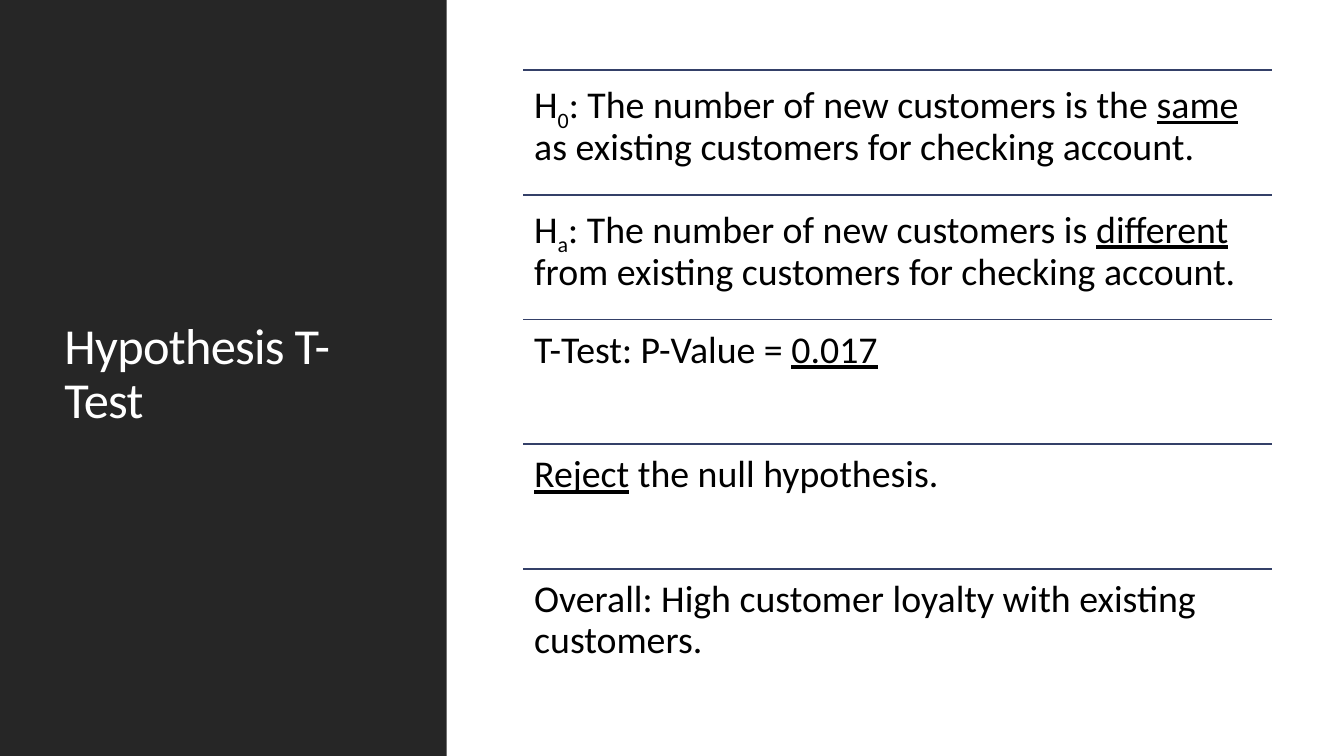
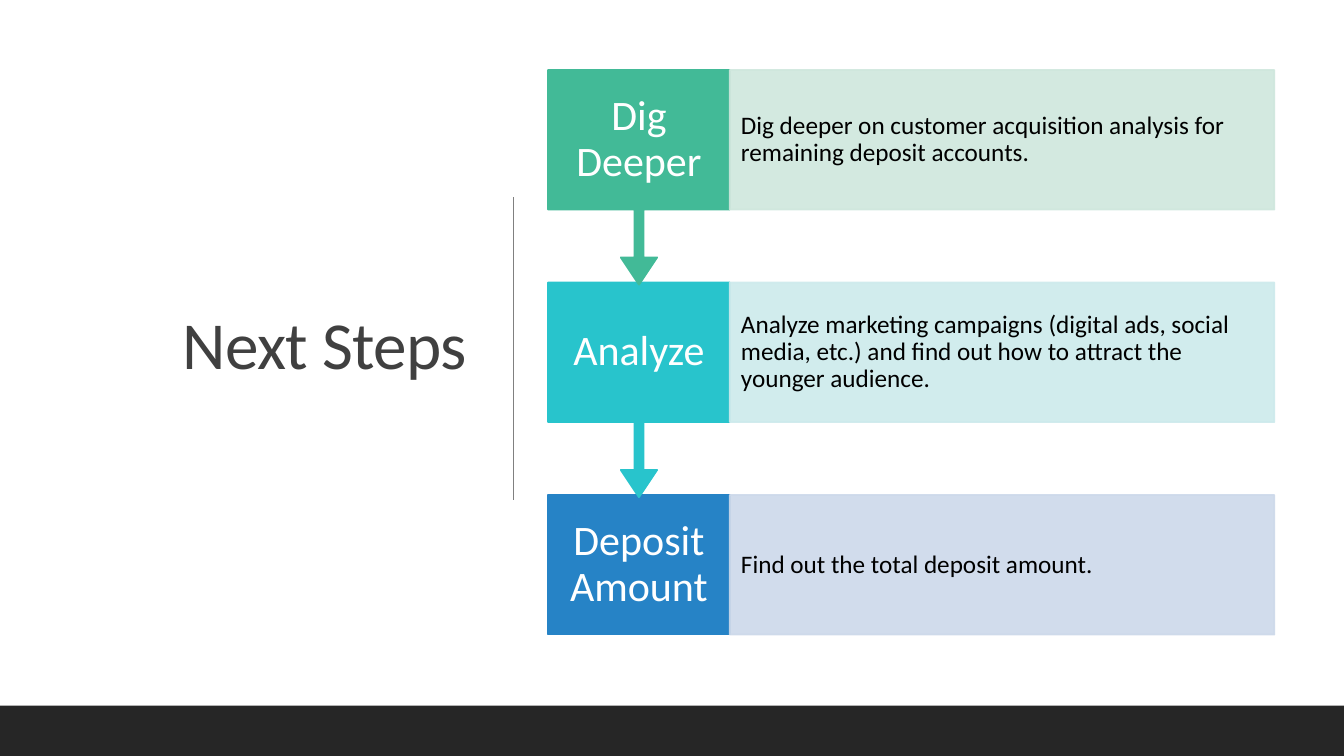
"""Build the hypothesis test and next steps slides."""

from dataclasses import dataclass

from pptx import Presentation
from pptx.dml.color import RGBColor
from pptx.enum.shapes import MSO_CONNECTOR, MSO_SHAPE
from pptx.enum.text import MSO_ANCHOR, PP_ALIGN
from pptx.oxml.ns import qn
from pptx.shapes.autoshape import Shape
from pptx.slide import Slide
from pptx.text.text import TextFrame
from pptx.util import Pt
from lxml import etree

RECTANGLE = MSO_SHAPE.RECTANGLE
ARROW_CALLOUT = MSO_SHAPE.UP_ARROW_CALLOUT
STRAIGHT = MSO_CONNECTOR.STRAIGHT
TOP, MIDDLE = MSO_ANCHOR.TOP, MSO_ANCHOR.MIDDLE
LEFT, CENTER, RIGHT = PP_ALIGN.LEFT, PP_ALIGN.CENTER, PP_ALIGN.RIGHT


@dataclass(frozen=True)
class Theme:
    font: str = "Calibri"
    dark: str = "262626"
    white: str = "FFFFFF"
    black: str = "000000"
    heading: str = "404040"
    rule: str = "344068"
    divider: str = "808080"
    side_title_size: float = 36
    title_size: float = 48
    statement_size: float = 27
    step_size: float = 30
    detail_size: float = 18
    outline: float = 1.25
    line_spacing: float = 0.9


@dataclass(frozen=True)
class Box:
    left: float
    top: float
    width: float
    height: float

    def lengths(self) -> tuple[Pt, Pt, Pt, Pt]:
        return Pt(self.left), Pt(self.top), Pt(self.width), Pt(self.height)


@dataclass(frozen=True)
class TextStyle:
    size: float
    color: str
    align: PP_ALIGN = LEFT
    anchor: MSO_ANCHOR = MIDDLE
    inset_x: float = 7.2
    inset_y: float = 3.6
    tracking: int = 0


@dataclass(frozen=True)
class Piece:
    text: str
    underline: bool = False
    subscript: bool = False


@dataclass(frozen=True)
class Step:
    name: str
    detail: str
    color: str
    tint: str


THEME = Theme()
SLIDE_WIDTH, SLIDE_HEIGHT = 960, 540
STATEMENT = TextStyle(THEME.statement_size, THEME.black, anchor=TOP, inset_x=8, inset_y=8)
STEP_NAME = TextStyle(THEME.step_size, THEME.white, CENTER, inset_x=9.2, inset_y=16.5)
STEP_DETAIL = TextStyle(THEME.detail_size, THEME.black, inset_x=8, inset_y=18)

STATEMENTS = (
    (
        Piece("H"),
        Piece("0", subscript=True),
        Piece(": The number of new customers is the "),
        Piece("same", underline=True),
        Piece(" as existing customers for checking account."),
    ),
    (
        Piece("H"),
        Piece("a", subscript=True),
        Piece(": The number of new customers is "),
        Piece("different", underline=True),
        Piece(" from existing customers for checking account."),
    ),
    (Piece("T-Test: P-Value = "), Piece("0.017", underline=True)),
    (Piece("Reject", underline=True), Piece(" the null hypothesis.")),
    (Piece("Overall: High customer loyalty with existing customers."),),
)
STEPS = (
    Step(
        "Dig Deeper",
        "Dig deeper on customer acquisition analysis for remaining deposit accounts.",
        "42BA97",
        "CFE7DD",
    ),
    Step(
        "Analyze",
        "Analyze marketing campaigns (digital ads, social media, etc.) "
        "and find out how to attract the younger audience.",
        "28C4CC",
        "CDEAEC",
    ),
    Step("Deposit Amount", "Find out the total deposit amount.", "2683C6", "CDD9EA"),
)


def write(frame: TextFrame, pieces: tuple[Piece, ...], style: TextStyle) -> None:
    frame.word_wrap = True
    frame.vertical_anchor = style.anchor
    frame.margin_left = frame.margin_right = Pt(style.inset_x)
    frame.margin_top = frame.margin_bottom = Pt(style.inset_y)
    paragraph = frame.paragraphs[0]
    paragraph.alignment = style.align
    paragraph.line_spacing = THEME.line_spacing
    for piece in pieces:
        run = paragraph.add_run()
        run.text = piece.text
        run.font.name = THEME.font
        run.font.size = Pt(style.size)
        run.font.color.rgb = RGBColor.from_string(style.color)
        properties = run._r.get_or_add_rPr()
        if piece.underline:
            run.font.underline = True
        if piece.subscript:
            properties.set("baseline", "-25000")
        if style.tracking:
            properties.set("spc", str(style.tracking))


def add_text(slide: Slide, box: Box, pieces: tuple[Piece, ...], style: TextStyle) -> None:
    write(slide.shapes.add_textbox(*box.lengths()).text_frame, pieces, style)


def add_title(slide: Slide, box: Box, title: str, size: float, color: str, align: PP_ALIGN) -> None:
    add_text(slide, box, (Piece(title),), TextStyle(size, color, align, tracking=-50))


def add_block(
    slide: Slide, box: Box, color: str, kind: MSO_SHAPE = RECTANGLE, outlined: bool = True
) -> Shape:
    block = slide.shapes.add_shape(kind, *box.lengths())
    block.shadow.inherit = False
    block.fill.solid()
    block.fill.fore_color.rgb = RGBColor.from_string(color)
    if outlined:
        block.line.color.rgb = RGBColor.from_string(color)
        block.line.width = Pt(THEME.outline)
    else:
        block.line.fill.background()
    return block


def add_line(
    slide: Slide, start: tuple[float, float], end: tuple[float, float], color: str, width: float
) -> None:
    line = slide.shapes.add_connector(STRAIGHT, *map(Pt, start + end))
    line.line.color.rgb = RGBColor.from_string(color)
    line.line.width = Pt(width)
    etree.SubElement(line._element.spPr, qn("a:effectLst"))


def set_opacity(block: Shape, percent: int) -> None:
    for color in block._element.spPr.iter(qn("a:srgbClr")):
        etree.SubElement(color, qn("a:alpha")).set("val", str(percent * 1000))


def add_step(slide: Slide, step: Step, top: float, leads_on: bool) -> None:
    left, name_width, detail_width, height, callout_height = 391.5, 129.8, 389, 99.7, 153.3
    name_box = Box(left, top, name_width, height)
    if leads_on:
        callout = add_block(
            slide, Box(left, top, name_width, callout_height), step.color, ARROW_CALLOUT
        )
        callout.rotation = 180
        for index, share in enumerate((0.05, 0.1, 0.15, 0.65)):
            callout.adjustments[index] = share
    else:
        add_block(slide, name_box, step.color)
    add_text(slide, name_box, (Piece(step.name),), STEP_NAME)
    detail = add_block(slide, Box(left + name_width, top, detail_width, height), step.tint)
    set_opacity(detail, 90)
    write(detail.text_frame, (Piece(step.detail),), STEP_DETAIL)


def build_hypothesis(slide: Slide) -> None:
    left, top, width, pitch = 373.6, 50.2, 535, 89
    add_block(slide, Box(0, 0, 319, SLIDE_HEIGHT), THEME.dark, outlined=False)
    title_box = Box(39, 41, 242.6, 454.3)
    add_title(slide, title_box, "Hypothesis T-Test", THEME.side_title_size, THEME.white, LEFT)
    for index, pieces in enumerate(STATEMENTS):
        row_top = top + index * pitch
        add_line(slide, (left, row_top), (left + width, row_top), THEME.rule, THEME.outline)
        add_text(slide, Box(left, row_top, width, pitch), pieces, STATEMENT)


def build_next_steps(slide: Slide) -> None:
    top, pitch, divider_x = 50, 151.8, 366.6
    title_box = Box(50.4, 49.7, 290, 398)
    add_title(slide, title_box, "Next Steps", THEME.title_size, THEME.heading, RIGHT)
    add_line(slide, (divider_x, 141), (divider_x, 357), THEME.divider, 1)
    add_block(slide, Box(0, 504, SLIDE_WIDTH, 36), THEME.dark, outlined=False)
    last = len(STEPS) - 1
    for index in range(last, -1, -1):
        add_step(slide, STEPS[index], top + index * pitch, index < last)


def main() -> None:
    deck = Presentation()
    deck.slide_width, deck.slide_height = Pt(SLIDE_WIDTH), Pt(SLIDE_HEIGHT)
    blank = deck.slide_layouts[6]
    for build in (build_hypothesis, build_next_steps):
        build(deck.slides.add_slide(blank))
    deck.save("out.pptx")


main()
